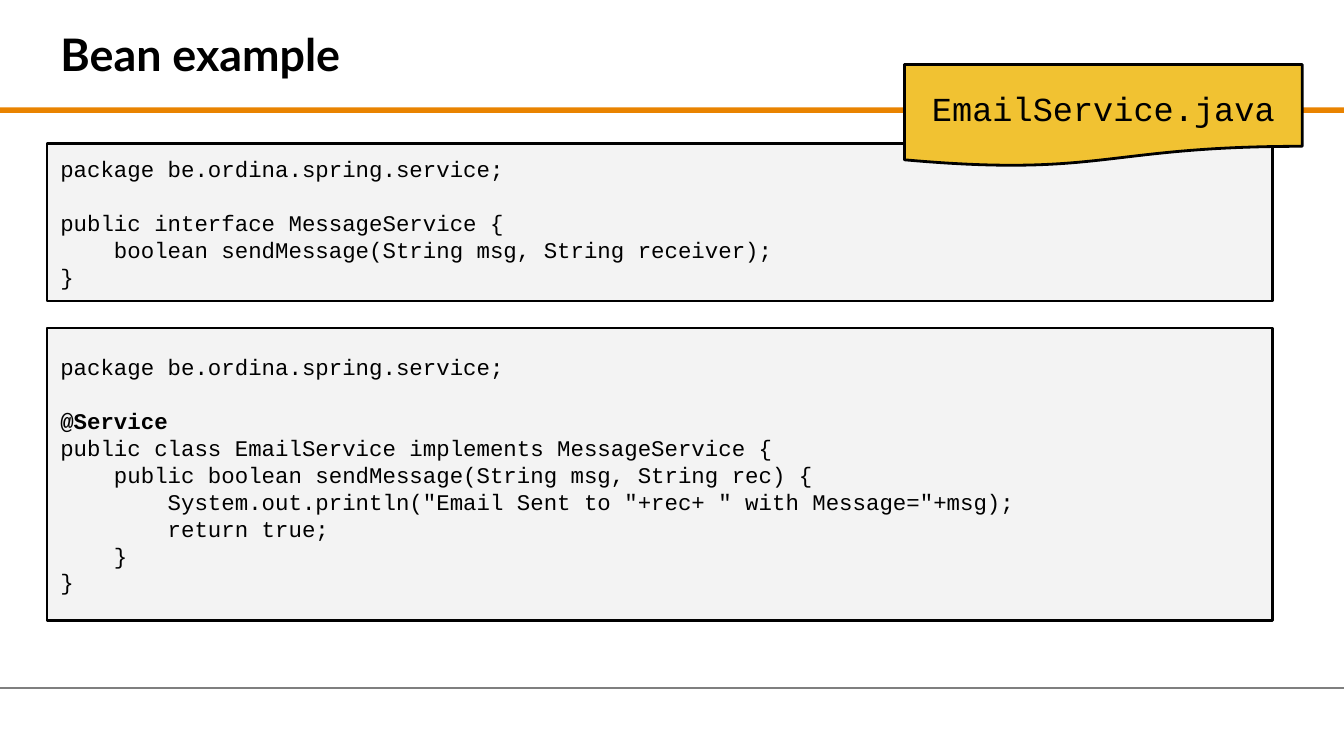
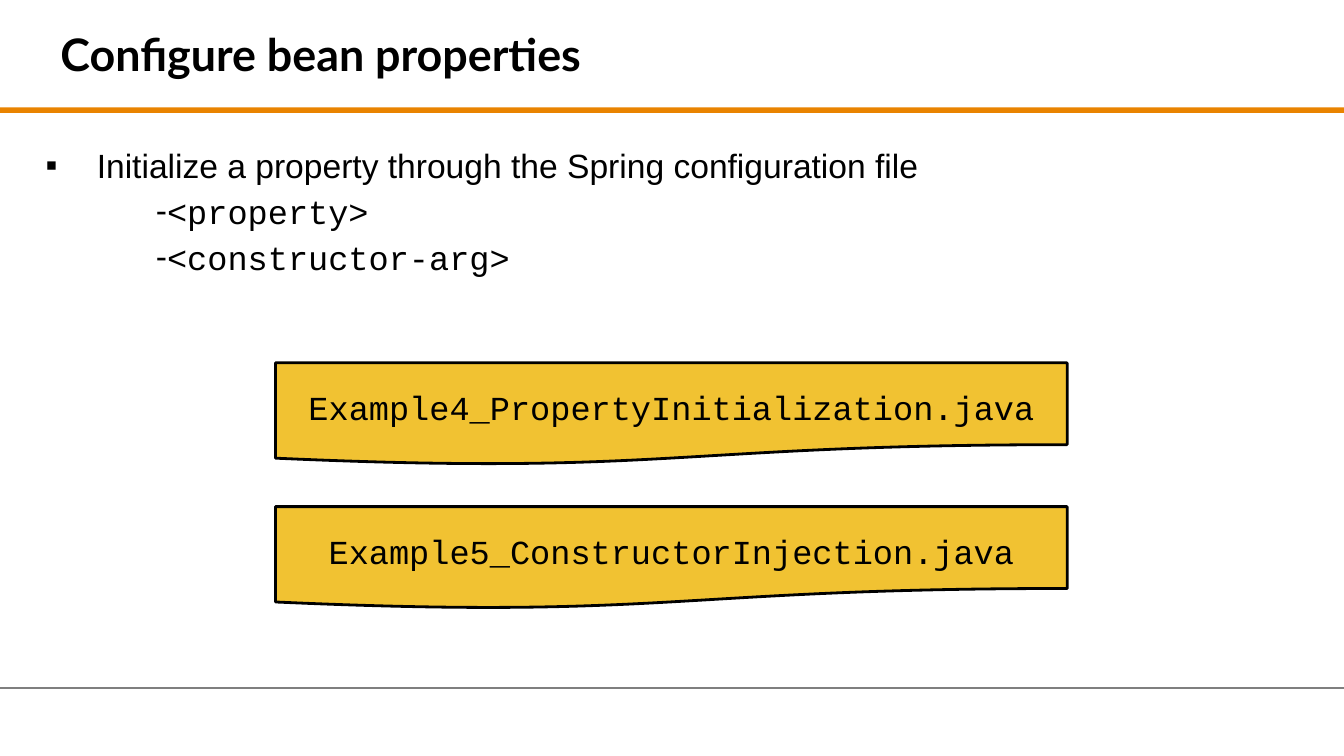
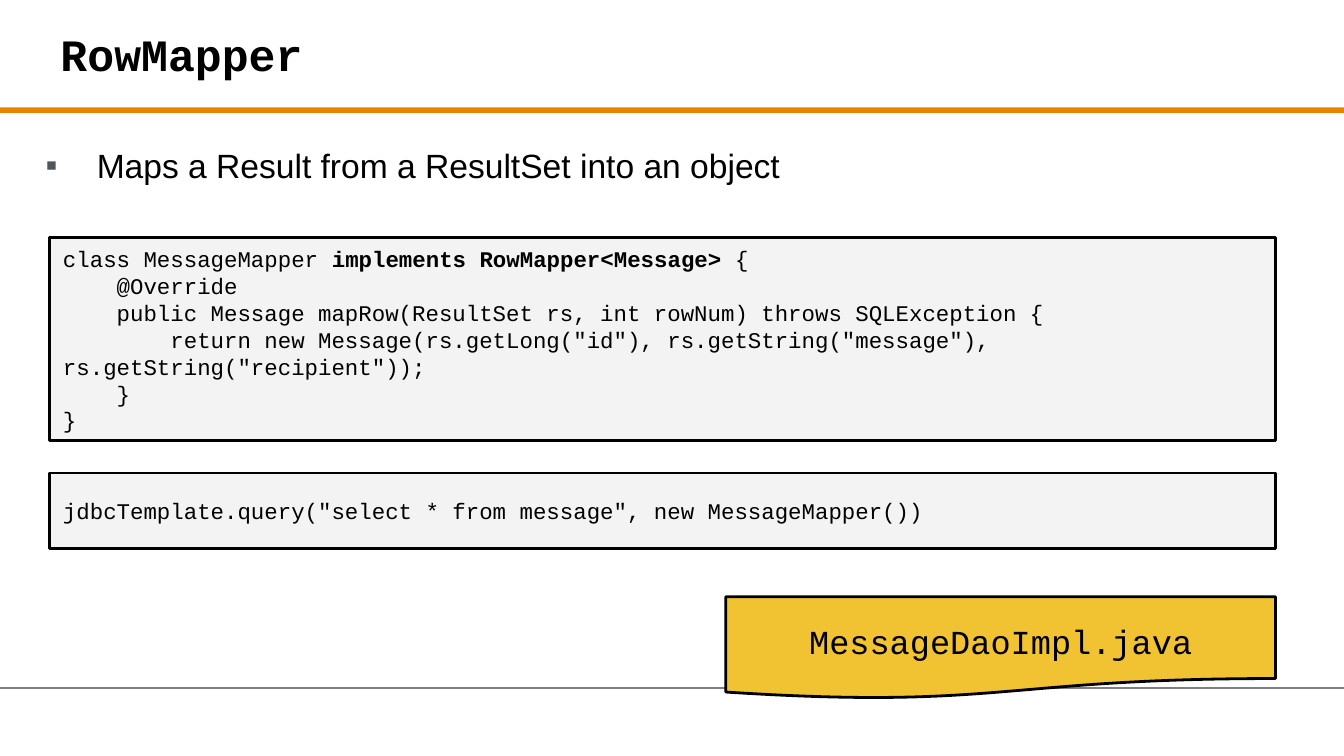
from dataclasses import dataclass

from lxml import etree
from pptx import Presentation
from pptx.dml.color import RGBColor
from pptx.enum.shapes import MSO_CONNECTOR, MSO_SHAPE
from pptx.enum.text import MSO_ANCHOR, MSO_AUTO_SIZE, PP_ALIGN
from pptx.oxml.ns import qn
from pptx.util import Pt

RECTANGLE, DOCUMENT = MSO_SHAPE.RECTANGLE, MSO_SHAPE.FLOWCHART_DOCUMENT
STRAIGHT = MSO_CONNECTOR.STRAIGHT
TOP, MIDDLE = MSO_ANCHOR.TOP, MSO_ANCHOR.MIDDLE
LEFT, CENTER = PP_ALIGN.LEFT, PP_ALIGN.CENTER
NO_AUTOFIT = MSO_AUTO_SIZE.NONE


@dataclass(frozen=True)
class Theme:
    accent: str = "E98300"
    rule: str = "7F7F7F"
    text: str = "000000"
    soft_bullet: str = "4F575A"
    code_fill: str = "F3F3F3"
    label_fill: str = "F1C232"
    heading_font: str = "Lato"
    body_font: str = "Arial"
    code_font: str = "Courier New"
    title_size: int = 24
    body_size: int = 18
    code_size: int = 12
    code_line: float = 14.4
    body_spacing: float = 1.15
    border: float = 1.5
    hairline: float = 0.75


THEME = Theme()

# Lengths in px, 100 to the inch; the slide is 16:9
PX = 9144
SLIDE_WIDTH = 1000
TITLE_BOX = (35, 0, 937, 80)
BODY_BOX = (12, 93, 960, 407)
BAND_BOX = (0, 80, SLIDE_WIDTH, 4)
FOOTER_Y = 512
INSET = 10
CODE_WIDTH, LABEL_HEIGHT = 912, 76
BULLETS = [("▪", 50, -38), ("-", 100, -6)]  # character, margin, indent per level
TITLE_ONLY, TITLE_AND_BODY = 5, 1
FIRST_MASTER_ID = 101

# Content: ** surrounds bold code
INTERFACE_CODE = """package be.ordina.spring.service;

public interface MessageService {
    boolean sendMessage(String msg, String receiver);
}"""

SERVICE_CODE = """package be.ordina.spring.service;

**@Service**
public class EmailService implements MessageService {
    public boolean sendMessage(String msg, String rec) {
        System.out.println("Email Sent to "+rec+ " with Message="+msg);
        return true;
    }
}"""

MAPPER_CODE = """class MessageMapper **implements RowMapper<Message>** {
    @Override
    public Message mapRow(ResultSet rs, int rowNum) throws SQLException {
        return new Message(rs.getLong("id"), rs.getString("message"), rs.getString("recipient"));
    }
}"""

QUERY_CODE = 'jdbcTemplate.query("select * from message", new MessageMapper())'

# Bullets: (level, text, font); code: (top, height, text); labels: (left, top, width, text)
SLIDES = [
    {
        "title": "Bean example",
        "code_left": 35,
        "code": [(107, 117, INTERFACE_CODE), (244, 218, SERVICE_CODE)],
        "labels": [(673, 48, 296, "EmailService.java")],
    },
    {
        "title": "Configure bean properties",
        "bullets": [
            (0, "Initialize a property through the Spring configuration file", THEME.body_font),
            (1, "<property>", THEME.code_font),
            (1, "<constructor-arg>", THEME.code_font),
        ],
        "labels": [
            (205, 270, 589, "Example4_PropertyInitialization.java"),
            (205, 377, 589, "Example5_ConstructorInjection.java"),
        ],
    },
    {
        "title": "RowMapper",
        "title_font": THEME.code_font,
        "bullets": [(0, "Maps a Result from a ResultSet into an object", THEME.body_font)],
        "bullet_color": THEME.soft_bullet,
        "code_left": 37,
        "code": [(177, 151, MAPPER_CODE), (352, 56, QUERY_CODE)],
        "labels": [(540, 444, 409, "MessageDaoImpl.java")],
    },
]


def rgb(color):
    return RGBColor.from_string(color)


def place(shape, box):
    shape.left, shape.top, shape.width, shape.height = (value * PX for value in box)


def set_frame(shape, anchor):
    frame = shape.text_frame
    frame.auto_size = NO_AUTOFIT
    frame.word_wrap = True
    frame.vertical_anchor = anchor
    frame.margin_left = frame.margin_right = INSET * PX
    frame.margin_top = frame.margin_bottom = INSET * PX
    return frame


def format_run(run, font, size, bold=False):
    run.font.name = font
    run.font.size = Pt(size)
    run.font.bold = bold
    run.font.color.rgb = rgb(THEME.text)


def add_box(slide, kind, box, fill, border=None):
    shape = slide.shapes.add_shape(kind, *(value * PX for value in box))
    shape.shadow.inherit = False
    shape.fill.solid()
    shape.fill.fore_color.rgb = rgb(fill)
    if border:
        shape.line.color.rgb = rgb(THEME.text)
        shape.line.width = Pt(border)
    else:
        shape.line.fill.background()
    return shape


# Band and footer rule, moved to the master so that every slide shows them
def add_master_lines(presentation, slide):
    band = add_box(slide, RECTANGLE, BAND_BOX, THEME.accent)
    rule = slide.shapes.add_connector(
        STRAIGHT, 0, FOOTER_Y * PX, SLIDE_WIDTH * PX, FOOTER_Y * PX)
    rule.line.color.rgb = rgb(THEME.rule)
    rule.line.width = Pt(THEME.hairline)
    etree.SubElement(rule.element.spPr, qn("a:effectLst"))
    for number, shape in enumerate((band, rule), FIRST_MASTER_ID):
        next(shape.element.iter(qn("p:cNvPr"))).set("id", str(number))
        presentation.slide_master.shapes.element.append(shape.element)


def fill_title(slide, text, font):
    title = slide.shapes.title
    place(title, TITLE_BOX)
    frame = set_frame(title, MIDDLE)
    frame.text = text
    paragraph = frame.paragraphs[0]
    paragraph.alignment = LEFT
    format_run(paragraph.runs[0], font, THEME.title_size, bold=True)


def set_bullet(paragraph, level, color):
    character, margin, indent = BULLETS[level]
    properties = paragraph._p.get_or_add_pPr()
    properties.set("marL", str(margin * PX))
    properties.set("indent", str(indent * PX))
    bullet_color = etree.SubElement(properties, qn("a:buClr"))
    etree.SubElement(bullet_color, qn("a:srgbClr"), val=color)
    etree.SubElement(properties, qn("a:buFont"), typeface=THEME.body_font)
    etree.SubElement(properties, qn("a:buChar"), char=character)


def fill_body(slide, bullets, color):
    body = slide.placeholders[1]
    place(body, BODY_BOX)
    frame = set_frame(body, TOP)
    frame.text = "\n".join(text for _, text, _ in bullets)
    for paragraph, (level, _, font) in zip(frame.paragraphs, bullets):
        paragraph.level = level
        paragraph.line_spacing = THEME.body_spacing
        paragraph.space_before = Pt(0)
        set_bullet(paragraph, level, color)
        format_run(paragraph.runs[0], font, THEME.body_size)


def add_code(slide, box, code):
    shape = add_box(slide, RECTANGLE, box, THEME.code_fill, THEME.border)
    frame = set_frame(shape, MIDDLE)
    paragraph, gap = frame.paragraphs[0], 0
    for index, line in enumerate(code.split("\n")):
        if not line:  # an empty code line becomes space above the next one
            gap += THEME.code_line
            continue
        if index:
            paragraph = frame.add_paragraph()
        paragraph.alignment = LEFT
        if gap:
            paragraph.space_before = Pt(gap)
            gap = 0
        for part, text in enumerate(line.split("**")):
            if text:
                run = paragraph.add_run()
                run.text = text
                format_run(run, THEME.code_font, THEME.code_size, bold=part % 2 == 1)


def add_label(slide, left, top, width, text):
    box = (left, top, width, LABEL_HEIGHT)
    shape = add_box(slide, DOCUMENT, box, THEME.label_fill, THEME.border)
    frame = set_frame(shape, MIDDLE)
    frame.text = text
    paragraph = frame.paragraphs[0]
    paragraph.alignment = CENTER
    paragraph.line_spacing = THEME.body_spacing
    format_run(paragraph.runs[0], THEME.code_font, THEME.body_size)


def build_slide(presentation, content):
    bullets = content.get("bullets")
    layout = TITLE_AND_BODY if bullets else TITLE_ONLY
    slide = presentation.slides.add_slide(presentation.slide_layouts[layout])
    fill_title(slide, content["title"], content.get("title_font", THEME.heading_font))
    if bullets:
        fill_body(slide, bullets, content.get("bullet_color", THEME.text))
    for top, height, code in content.get("code", []):
        add_code(slide, (content["code_left"], top, CODE_WIDTH, height), code)
    for label in content["labels"]:
        add_label(slide, *label)
    return slide


def main():
    presentation = Presentation()
    presentation.slide_width = SLIDE_WIDTH * PX
    presentation.slide_height = SLIDE_WIDTH * PX * 9 // 16
    slides = [build_slide(presentation, content) for content in SLIDES]
    add_master_lines(presentation, slides[0])
    presentation.save("out.pptx")


if __name__ == "__main__":
    main()
